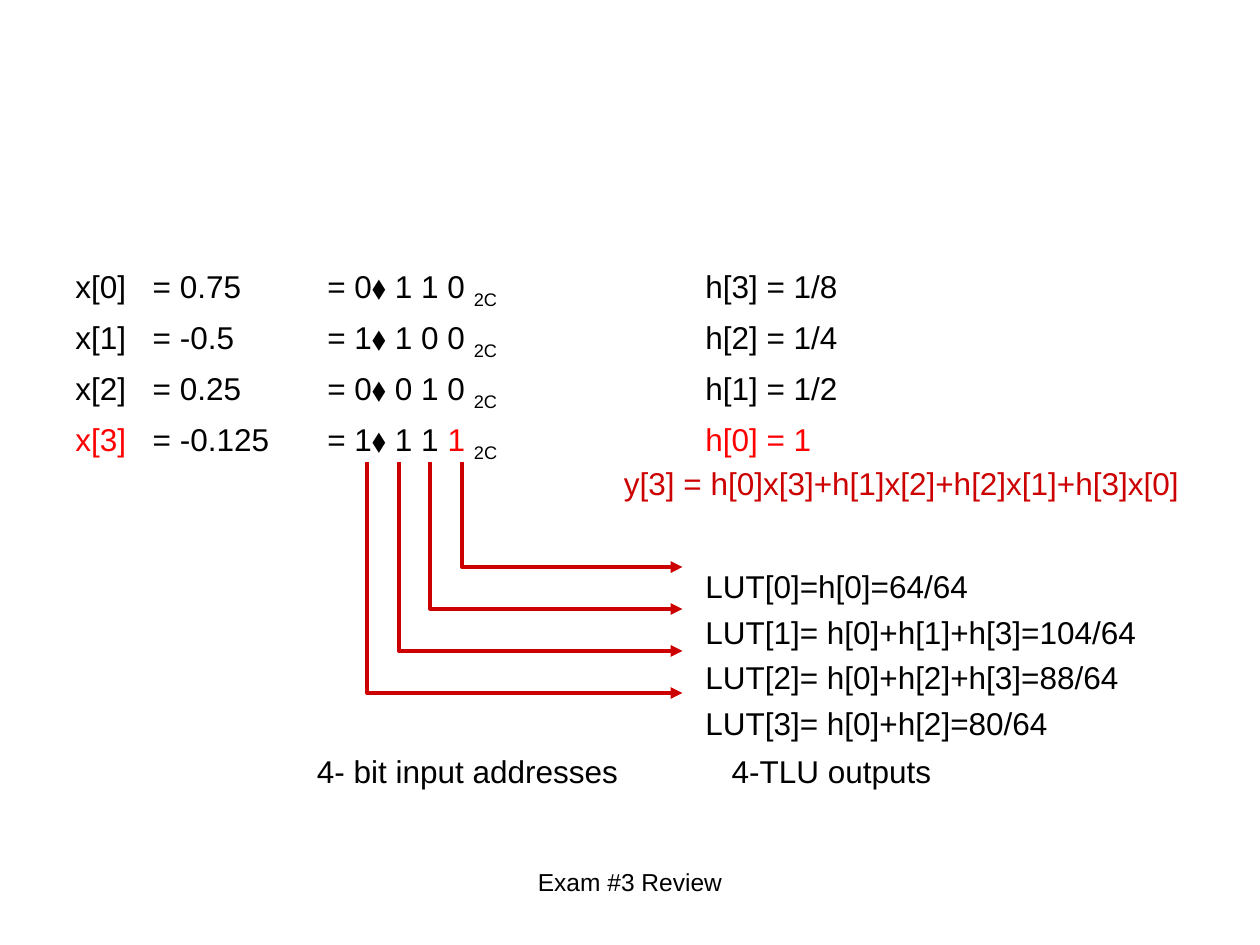
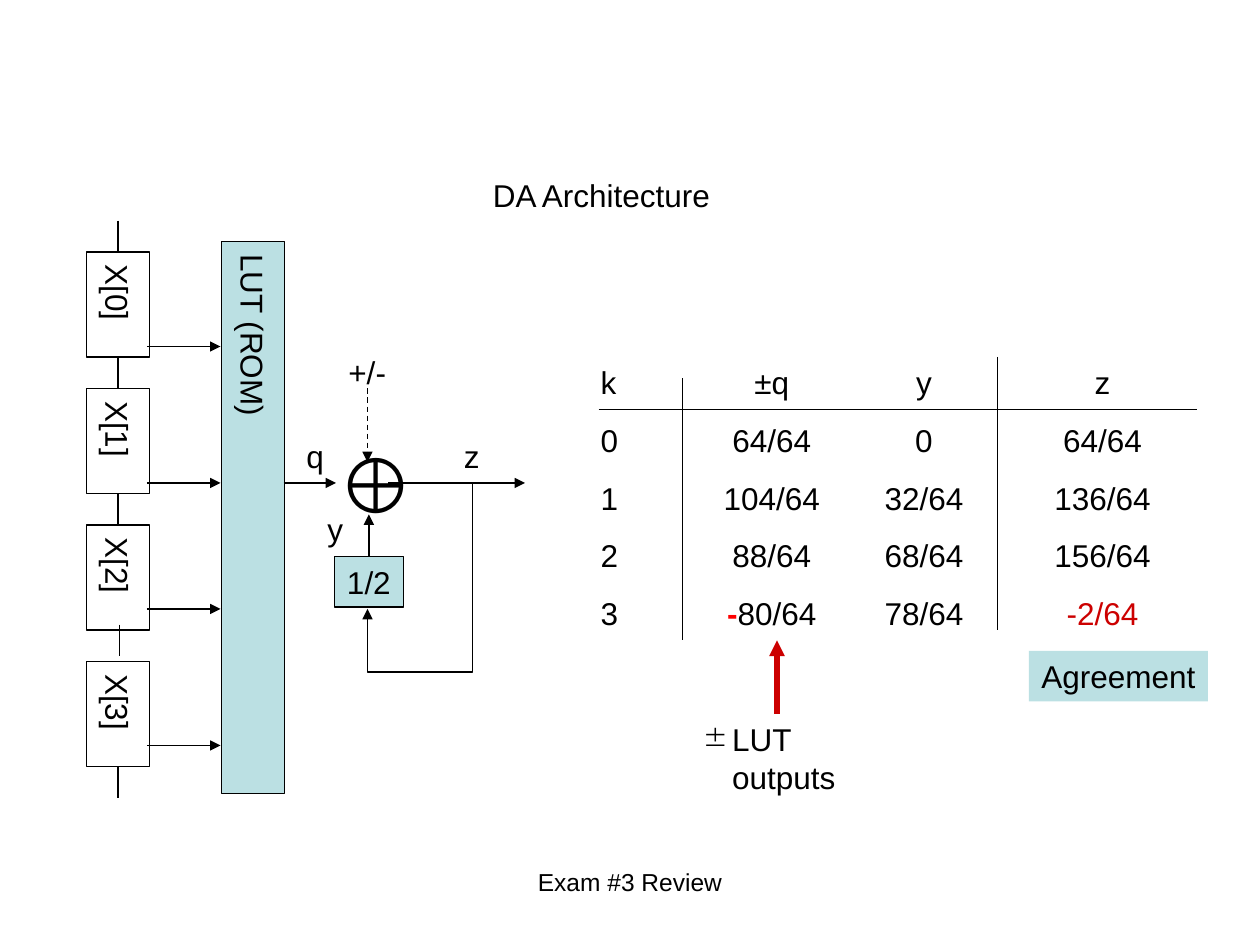
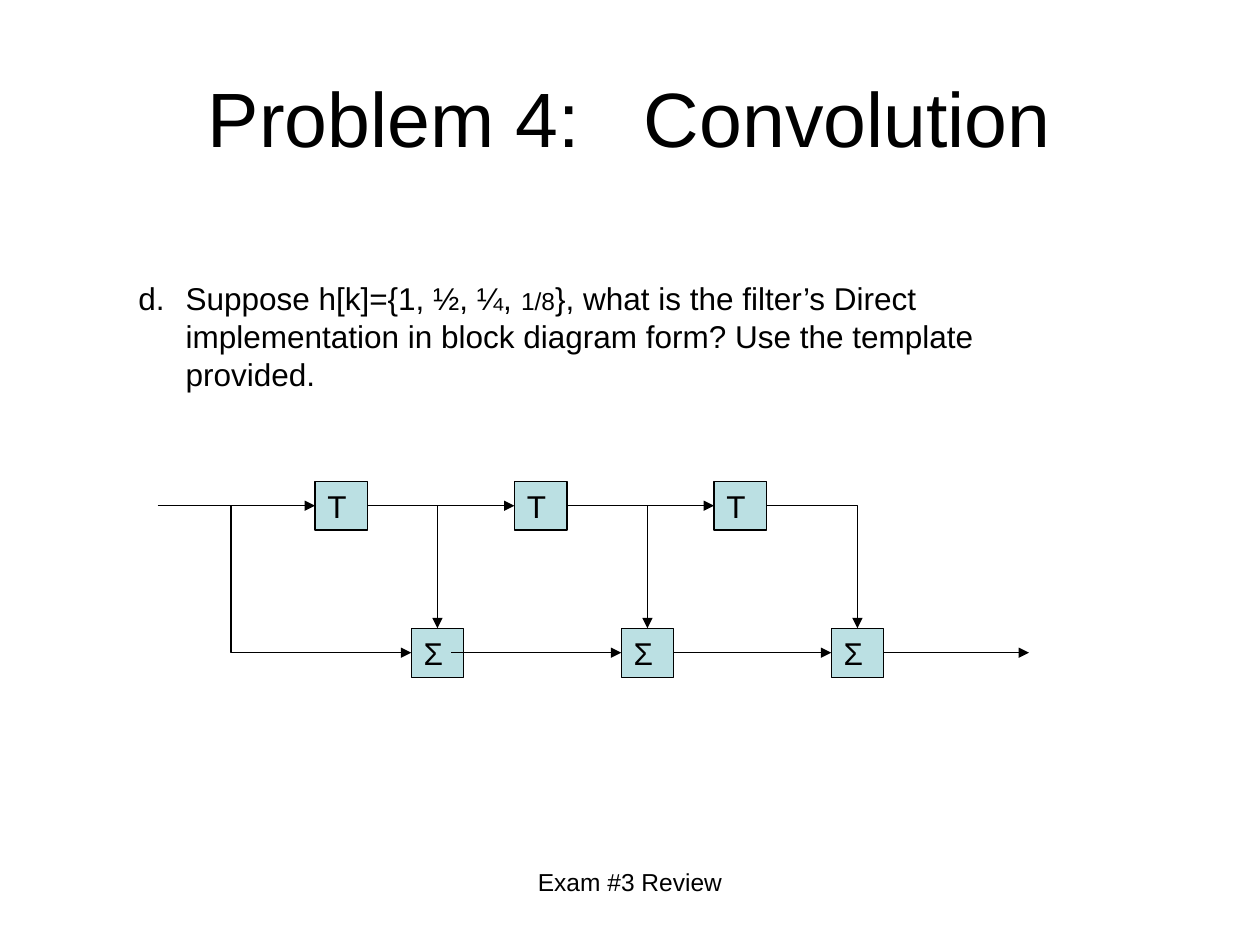
"""Build three exam review slides on distributed arithmetic and convolution."""
from lxml import etree
from pptx import Presentation
from pptx.dml.color import RGBColor
from pptx.enum import dml, shapes, text
from pptx.oxml import ns
from pptx.util import Pt

BLACK = RGBColor(0x00, 0x00, 0x00)
RED = RGBColor(0xFF, 0x00, 0x00)
CRIMSON = RGBColor(0xCC, 0x00, 0x00)
AQUA = RGBColor(0xBB, 0xE0, 0xE3)
FONT = "Arial"
LEFT, CENTER = text.PP_ALIGN.LEFT, text.PP_ALIGN.CENTER
TOP, MIDDLE = text.MSO_ANCHOR.TOP, text.MSO_ANCHOR.MIDDLE
TOP_SIDE, LEFT_SIDE, BOTTOM_SIDE, RIGHT_SIDE = range(4)
TITLE_ONLY, BLANK = 5, 6


def apply(target, values):
    for name, value in values.items():
        setattr(target, name, value)


def child(parent, tag, **attributes):
    return etree.SubElement(parent, ns.qn(tag), attributes)


class Deck:
    def __init__(self):
        self.presentation = Presentation()
        apply(self.presentation, {"slide_width": Pt(720), "slide_height": Pt(540)})
        self.slide = None

    def new_slide(self, title=None):
        layout = self.presentation.slide_layouts[BLANK if title is None else TITLE_ONLY]
        self.slide = self.presentation.slides.add_slide(layout)
        if title is not None:
            heading = self.slide.shapes.title
            apply(heading, {"left": Pt(36), "top": Pt(21.6), "width": Pt(648), "height": Pt(90)})
            self.set_text(heading.text_frame, [title], size=44, anchor=MIDDLE, alignment=CENTER)
        self.label(246, 492, 228, "Exam #3 Review", size=14, alignment=CENTER)

    def set_text(self, frame, lines, size=18, color=BLACK, anchor=TOP, inset=(7.2, 3.6),
                 hang=0, tabs=(), bullet=None, **layout):
        across, down = map(Pt, inset)
        apply(frame, {"word_wrap": True, "vertical_anchor": anchor, "margin_left": across,
                      "margin_right": across, "margin_top": down, "margin_bottom": down})
        for number, line in enumerate(lines):
            paragraph = frame.add_paragraph() if number else frame.paragraphs[0]
            apply(paragraph, layout)
            properties = paragraph._p.get_or_add_pPr()
            if hang:
                properties.set("marL", str(Pt(hang)))
                properties.set("indent", str(-Pt(hang)))
            if bullet:
                child(properties, "a:buChar", char=bullet)
            if tabs:
                stops = child(properties, "a:tabLst")
                for stop in tabs:
                    child(stops, "a:tab", pos=str(Pt(stop)), algn="l")
            for part in [line] if isinstance(line, str) else line:
                words, changes = (part, {}) if isinstance(part, str) else part
                run = paragraph.add_run()
                run.text = words
                apply(run.font, {"name": FONT, "bold": changes.get("bold", False),
                                 "size": Pt(changes.get("size", size))})
                run.font.color.rgb = changes.get("color", color)
                if changes.get("subscript"):
                    run._r.get_or_add_rPr().set("baseline", "-25000")

    def block(self, left, top, width, height, lines, **style):
        area = self.slide.shapes.add_textbox(Pt(left), Pt(top), Pt(width), Pt(height))
        self.set_text(area.text_frame, lines, **style)

    def label(self, left, top, width, words, **style):
        self.block(left, top, width, 28.8, [words], **style)

    def node(self, left, top, width, height, words, fill=AQUA, outlined=True, vertical=False, **style):
        node = self.slide.shapes.add_shape(
            shapes.MSO_SHAPE.RECTANGLE, Pt(left), Pt(top), Pt(width), Pt(height))
        node.shadow.inherit = False
        if fill is None:
            node.fill.background()
        else:
            node.fill.solid()
            node.fill.fore_color.rgb = fill
        if outlined:
            self.stroke(node.line)
        else:
            node.line.fill.background()
        self.set_text(node.text_frame, [words], **{"alignment": LEFT, **style})
        if vertical:
            node.text_frame._txBody.bodyPr.set("vert", "eaVert")
        return node

    def stroke(self, line, color=BLACK, width=0.75, arrow=False, dash=None):
        line.color.rgb = color
        apply(line, {"width": Pt(width), "dash_style": dash})
        if arrow:
            child(line._get_or_add_ln(), "a:tailEnd", type="triangle")

    def link(self, start, end, **style):
        """Draw a straight line; each end is a point or a (node, side) pair."""
        joined = [hasattr(place[0], "left") for place in (start, end)]
        points = [(0, 0) if joint else place for joint, place in zip(joined, (start, end))]
        connector = self.slide.shapes.add_connector(
            shapes.MSO_CONNECTOR.STRAIGHT, *(Pt(value) for point in points for value in point))
        if joined[0]:
            connector.begin_connect(*start)
        if joined[1]:
            connector.end_connect(*end)
        self.stroke(connector.line, **style)
        child(connector._element.spPr, "a:effectLst")

    def route(self, points, **style):
        start, *turns = [(Pt(x), Pt(y)) for x, y in points]
        builder = self.slide.shapes.build_freeform(*start)
        builder.add_line_segments(turns, close=False)
        bent = builder.convert_to_shape()
        bent.shadow.inherit = False
        bent.fill.background()
        self.stroke(bent.line, arrow=True, **style)

    def grid(self, left, top, widths, row_height, rows):
        table = self.slide.shapes.add_table(
            len(rows), len(widths), Pt(left), Pt(top), Pt(sum(widths)),
            Pt(row_height * len(rows))).table
        apply(table, {"first_row": False, "horz_banding": False})
        for column, width in zip(table.columns, widths):
            column.width = Pt(width)
        for row, values in zip(table.rows, rows):
            row.height = Pt(row_height)
            for number, (cell, value) in enumerate(zip(row.cells, values)):
                cell.fill.background()
                self.set_text(cell.text_frame, [value], alignment=CENTER if number else LEFT)
                apply(cell, {"vertical_anchor": MIDDLE, "margin_left": Pt(7.2),
                             "margin_right": Pt(7.2), "margin_top": Pt(3.6),
                             "margin_bottom": Pt(3.6)})


def lookup_slide(deck):
    deck.new_slide()
    subscript = ("2C", {"subscript": True})
    samples = [
        [f"x[{index}]\t= {value}\t= {bits} ", subscript, f"\th[{3 - index}] = {weight}"]
        for index, (value, bits, weight) in enumerate([
            ("0.75", "0⬧ 1 1 0", "1/8"),
            ("-0.5", "1⬧ 1 0 0", "1/4"),
            ("0.25", "0⬧ 0 1 0", "1/2")])]
    samples.append([("x[3]", {"color": RED}), "\t= -0.125\t= 1⬧ 1 1 ", ("1 ", {"color": RED}),
                    subscript, ("\th[0] = 1", {"color": RED})])
    deck.block(36, 144.6, 648, 124, samples, tabs=(44.2, 144, 360), line_spacing=Pt(29.1))
    deck.block(396, 315.7, 288, 112, [
        "LUT[0]=h[0]=64/64",
        "LUT[1]= h[0]+h[1]+h[3]=104/64",
        "LUT[2]= h[0]+h[2]+h[3]=88/64",
        "LUT[3]= h[0]+h[2]=80/64"], line_spacing=Pt(26.2))
    for bit in range(4):
        column, row = 264 - 18 * bit, 324 + 24 * bit
        deck.route([(column, 264), (column, row), (390, row)], color=CRIMSON, width=2.25)
    deck.label(174, 426, 200, "4- bit input addresses")
    deck.label(411, 426, 140, "4-TLU outputs")
    deck.label(349.5, 261.4, 340, "y[3] = h[0]x[3]+h[1]x[2]+h[2]x[1]+h[3]x[0]", color=CRIMSON)


def architecture_slide(deck):
    deck.new_slide()
    deck.label(274.6, 97, 150, "DA Architecture")
    upright = {"vertical": True, "anchor": MIDDLE, "alignment": CENTER, "inset": (3.6, 7.2)}
    registers = [deck.node(49.5, 144 + 78 * index, 36, 60, f"X[{index}]", fill=None, **upright)
                 for index in range(4)]
    deck.node(126.7, 138, 36, 315.4, "LUT (ROM)", **upright)
    deck.link((67.5, 126), (registers[0], TOP_SIDE))
    for upper, lower in zip(registers[:2], registers[1:3]):
        deck.link((upper, BOTTOM_SIDE), (lower, TOP_SIDE))
    deck.link((68.4, 357), (68.4, 375))
    deck.link((registers[3], BOTTOM_SIDE), (67.5, 456))
    for address in (198, 276, 348, 426):
        deck.link((84, address), (126, address), arrow=True)

    deck.block(186, 246, 84, 60.5, ["⊕"], size=44)
    half = deck.node(191, 318.2, 39.6, 28.8, "1/2", inset=(3.6, 3.6), alignment=CENTER)
    deck.link((162, 276), (192, 276), arrow=True)
    deck.link((half, TOP_SIDE), (210.8, 294), arrow=True)
    deck.link((222, 276), (300, 276), arrow=True)
    deck.link((210, 222), (210, 264), arrow=True, dash=dml.MSO_LINE.DASH)
    deck.route([(270, 276), (270, 384), (210, 384), (210, 348)])
    for signal, left, top, width in [("q", 168, 246, 30), ("z", 258, 246, 30),
                                     ("y", 180, 288, 30), ("+/-", 192, 198, 54)]:
        deck.label(left, top, width, signal)

    deck.grid(336, 203, (54, 102, 72, 132), 32.9, [
        ["k", "±q", "y", "z"],
        ["0", "64/64", "0", "64/64"],
        ["1", "104/64", "32/64", "136/64"],
        ["2", "88/64", "68/64", "156/64"],
        ["3", [("-", {"color": RED, "bold": True}), "80/64"], "78/64",
         [("-2/64", {"color": CRIMSON})]]])
    deck.link((342, 234), (684, 234))
    deck.link((390, 216), (390, 366))
    deck.link((570, 204), (570, 360))
    deck.block(394.6, 408.2, 101, 50, ["LUT outputs"], hang=16.6, bullet="±")
    deck.link((444, 408), (444, 366), color=CRIMSON, width=3, arrow=True)
    deck.node(588, 372, 102.2, 28.8, "Agreement", outlined=False, inset=(3.6, 3.6),
              alignment=CENTER)


def convolution_slide(deck):
    deck.new_slide("Problem 4:   Convolution")
    deck.block(72, 156, 510, 72, [[
        "d.\tSuppose h[k]={1, ½, ¼, ", ("1/8", {"size": 14}),
        "}, what is the filter’s Direct implementation in block diagram form? "
        "Use the template provided."]], hang=27)
    delays = [deck.node(180 + 114 * index, 275, 30, 28, "T") for index in range(3)]
    sums = [deck.node(235 + 120 * index, 359, 30, 28, "Σ") for index in range(3)]
    delay_row, sum_row = 289, 373
    sources = [(90, delay_row)] + [(delay, RIGHT_SIDE) for delay in delays[:2]]
    for source, delay in zip(sources, delays):
        deck.link(source, (delay, LEFT_SIDE), arrow=True)
    for index, adder in enumerate(sums[:2]):
        deck.link((250 + 120 * index, delay_row), (adder, TOP_SIDE), arrow=True)
    deck.link((258, sum_row), (sums[1], LEFT_SIDE), arrow=True)
    deck.link((sums[1], RIGHT_SIDE), (sums[2], LEFT_SIDE), arrow=True)
    deck.link((sums[2], RIGHT_SIDE), (588, sum_row), arrow=True)
    deck.route([(132, delay_row), (132, sum_row), (235, sum_row)])
    deck.route([(438, delay_row), (490, delay_row), (490, 359)])


def main():
    deck = Deck()
    lookup_slide(deck)
    architecture_slide(deck)
    convolution_slide(deck)
    deck.presentation.save("out.pptx")


if __name__ == "__main__":
    main()
